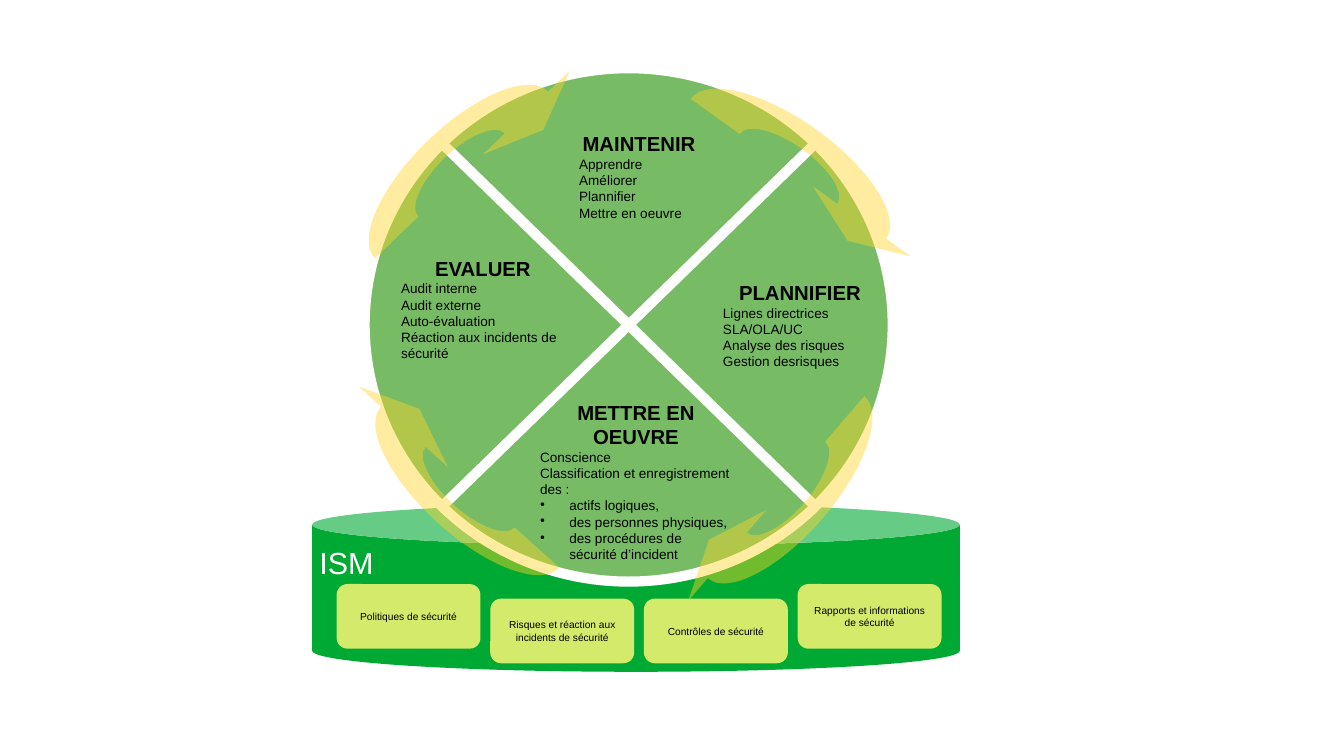
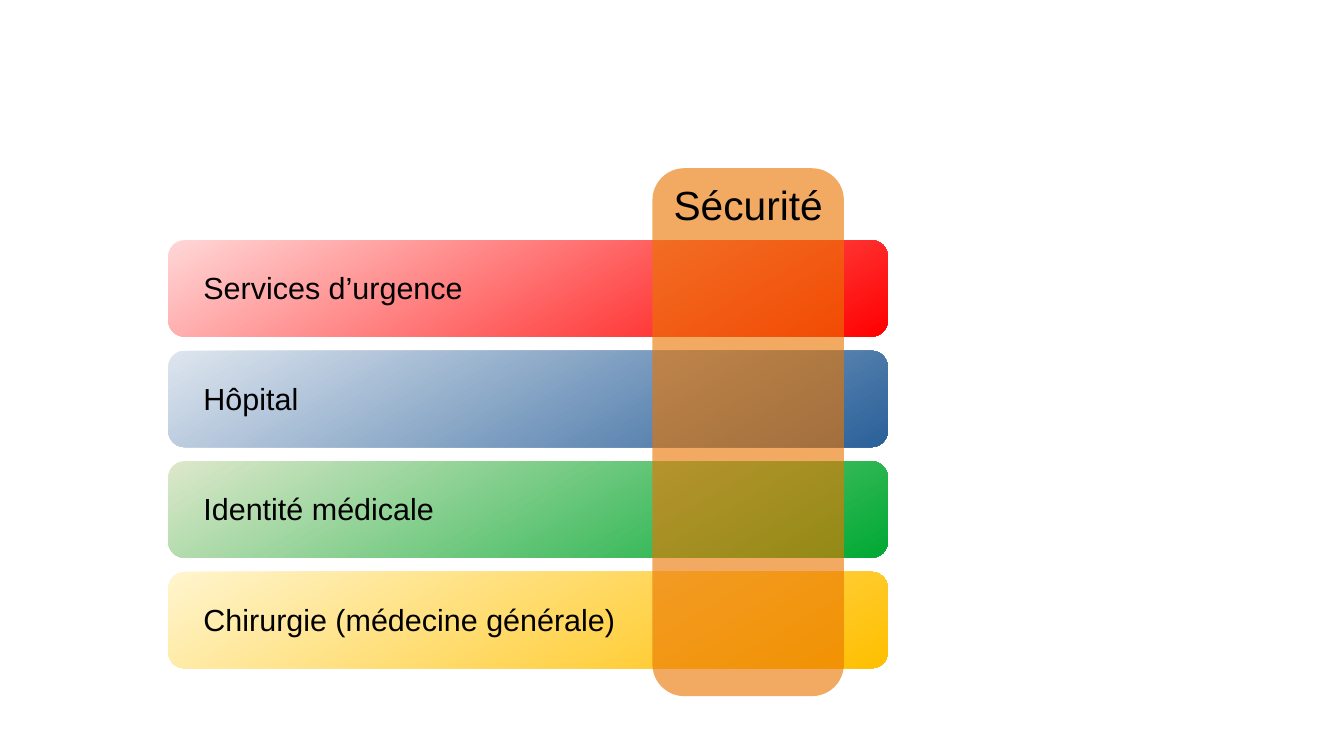
from dataclasses import dataclass

from lxml import etree
from pptx import Presentation
from pptx.dml.color import RGBColor
from pptx.enum.shapes import MSO_SHAPE
from pptx.enum.text import MSO_ANCHOR, MSO_AUTO_SIZE, PP_ALIGN
from pptx.oxml.ns import qn
from pptx.util import Inches, Pt

CAN = MSO_SHAPE.CAN
ROUNDED = MSO_SHAPE.ROUNDED_RECTANGLE
CROSSED_CIRCLE = MSO_SHAPE.FLOWCHART_SUMMING_JUNCTION
LEFT, CENTER = PP_ALIGN.LEFT, PP_ALIGN.CENTER
TOP, MIDDLE = MSO_ANCHOR.TOP, MSO_ANCHOR.MIDDLE
GROW = MSO_AUTO_SIZE.SHAPE_TO_FIT_TEXT


@dataclass(frozen=True)
class Theme:
    font: str = "Arial"
    black: str = "000000"
    white: str = "FFFFFF"
    base: str = "00A933"
    wheel: str = "77BC65"
    arrow: str = "FFD428"
    arrow_opacity: int = 44
    pillar: str = "D4EA6B"
    column: str = "EA7500"
    column_opacity: int = 61
    tiny: int = 6
    body: int = 8
    heading: int = 12
    label: int = 18
    title: int = 24
    corner: float = 0.167
    bullet_indent: float = 0.24
    bullet_percent: int = 45


THEME = Theme()

PILLARS = [
    ("Politiques de sécurité", 0.66),
    ("Risques et réaction aux incidents de sécurité", 0.78),
    ("Contrôles de sécurité", 0.78),
    ("Rapports et informations de sécurité", 0.66),
]

# Box relative to the wheel, heading, lines, bulleted lines
PHASES = [
    ((1.66, 0.47, 1.18, 0.94), "MAINTENIR",
     ["Apprendre", "Améliorer", "Plannifier", "Mettre en oeuvre"], []),
    ((2.84, 1.69, 1.46, 0.97), "PLANNIFIER",
     ["Lignes directrices", "SLA/OLA/UC", "Analyse des risques", "Gestion desrisques"], []),
    ((1.34, 2.67, 1.77, 1.6), "METTRE EN OEUVRE",
     ["Conscience", "Classification et enregistrement des :"],
     ["actifs logiques,", "des personnes physiques,",
      "des procédures de sécurité d’incident"]),
    ((0.2, 1.49, 1.54, 1.04), "EVALUER",
     ["Audit interne", "Audit externe", "Auto-évaluation",
      "Réaction aux incidents de sécurité"], []),
]

# Left and top relative to the wheel, clockwise rotation in degrees
ARROWS = [
    (-0.19, 0.48, 316.1),
    (2.49, 0.43, 35.6),
    (2.47, 3.04, 130.7),
    (-0.12, 3.04, 222.1),
]
ARROW_SIZE = (1.97, 0.79)

# Text, start colour, end colour, label width, label height
SERVICES = [
    ("Services d’urgence", "FFD7D7", "FF0000", 2.36, 0.38),
    ("Hôpital", "DEE6EF", "2A6099", 2.36, 0.38),
    ("Identité médicale", "DDE8CB", "00A933", 2.36, 0.38),
    ("Chirurgie (médecine générale)", "FFF5CE", "FFBF00", 4.53, 0.94),
]


def inches(box):
    return [Inches(value) for value in box]


def inside(box, offset):
    """Turn an offset box into a box on the slide."""
    return box[0] + offset[0], box[1] + offset[1], *offset[2:]


def paint(shape, color, opacity=100):
    """Give a solid fill, no outline and no shadow."""
    shape.shadow.inherit = False
    shape.line.fill.background()
    shape.fill.solid()
    shape.fill.fore_color.rgb = RGBColor.from_string(color)
    if opacity < 100:
        solid_color = shape.fill._xPr.find(qn("a:solidFill"))[0]
        etree.SubElement(solid_color, qn("a:alpha"), val=str(opacity * 1000))


def add_shape(shapes, kind, box, color, opacity=100, corner=None):
    shape = shapes.add_shape(kind, *inches(box))
    paint(shape, color, opacity)
    if corner is not None:
        shape.adjustments[0] = corner
    return shape


def add_bullet(paragraph):
    properties = paragraph._p.get_or_add_pPr()
    indent = Inches(THEME.bullet_indent)
    properties.set("marL", str(indent))
    properties.set("indent", str(-indent))
    color = etree.SubElement(properties, qn("a:buClr"))
    etree.SubElement(color, qn("a:srgbClr"), val=THEME.black)
    etree.SubElement(properties, qn("a:buSzPct"), val=str(THEME.bullet_percent * 1000))
    etree.SubElement(properties, qn("a:buChar"), char="●")


def write(frame, lines, anchor=TOP):
    """Fill a text frame with lines of (text, format values)."""
    frame.word_wrap = True
    frame.vertical_anchor = anchor
    for index, (text, values) in enumerate(lines):
        paragraph = frame.paragraphs[0] if index == 0 else frame.add_paragraph()
        paragraph.alignment = values.get("align", LEFT)
        if values.get("bullet"):
            add_bullet(paragraph)
        run = paragraph.add_run()
        run.text = text
        run.font.color.rgb = RGBColor.from_string(values.get("color", THEME.black))
        font_values = {"name": THEME.font, "size": Pt(values["size"]),
                       "bold": values.get("bold", False)}
        for name, value in font_values.items():
            setattr(run.font, name, value)


def add_text(shapes, box, lines):
    frame = shapes.add_textbox(*inches(box)).text_frame
    write(frame, lines)
    frame.auto_size = GROW


def half_ellipse(center_x, center_y, radius_x, radius_y):
    """Return the Bezier points of an upper half ellipse, from left to right."""
    pull = 0.55
    unit_points = [(-1, 0), (-1, -pull), (-pull, -1), (0, -1), (pull, -1), (1, -pull), (1, 0)]
    return [(center_x + x * radius_x, center_y + y * radius_y) for x, y in unit_points]


def bend(line_segments):
    """Turn three successive straight segments into one Bezier curve."""
    curve = etree.Element(qn("a:cubicBezTo"))
    line_segments[0].addprevious(curve)
    for segment in line_segments:
        curve.append(segment[0])
        segment.getparent().remove(segment)


def add_arrow(shapes, left, top, rotation):
    """Add half an elliptical ring with a head that overhangs its frame."""
    width, height = ARROW_SIZE
    center_x, center_y = width / 2, height / 2
    inner = half_ellipse(center_x, center_y, width / 4, height / 4)[::-1]
    outer = half_ellipse(center_x, center_y, center_x, center_y)
    head = [(center_x + width * 5 / 8, center_y), (center_x + width * 3 / 8, height * 3 / 4),
            (center_x + width / 8, center_y)]
    points = [inches((left + x, top + y)) for x, y in inner + outer + head]
    builder = shapes.build_freeform(*points[0])
    builder.add_line_segments(points[1:], close=True)
    arrow = builder.convert_to_shape()
    outline = next(arrow._element.iter(qn("a:path")))
    segments = outline.findall(qn("a:lnTo"))
    for first in (0, 3, 7, 10):
        bend(segments[first:first + 3])
    outline.set("w", str(Inches(width)))
    outline.set("h", str(Inches(height)))
    frame_values = {"left": Inches(left), "top": Inches(top), "width": Inches(width),
                    "height": Inches(height), "rotation": rotation}
    for name, value in frame_values.items():
        setattr(arrow, name, value)
    paint(arrow, THEME.arrow, THEME.arrow_opacity)


def draw_wheel(shapes, box):
    wheel = add_shape(shapes, CROSSED_CIRCLE, box, THEME.wheel)
    wheel.line.color.rgb = RGBColor.from_string(THEME.white)
    wheel.line.width = Pt(6)
    for x, y, rotation in ARROWS:
        add_arrow(shapes, *inside(box, (x, y)), rotation)
    for offset, heading, plain, bulleted in PHASES:
        lines = [(heading, {"size": THEME.heading, "bold": True, "align": CENTER})]
        lines += [(text, {"size": THEME.body}) for text in plain]
        lines += [(text, {"size": THEME.body, "bullet": True}) for text in bulleted]
        add_text(shapes, inside(box, offset), lines)


def draw_pillars(shapes, box):
    """Label the base and lay its pillars in a row."""
    width, gap = 1.18, 0.08
    add_text(shapes, inside(box, (-0.04, 0.28, 0.79, 0.38)),
             [("ISM", {"size": THEME.label, "color": THEME.white})])
    for index, (text, top) in enumerate(PILLARS):
        offset = (0.2 + index * (width + gap), top, width, 0.53)
        pillar = add_shape(shapes, ROUNDED, inside(box, offset), THEME.pillar,
                           corner=THEME.corner)
        write(pillar.text_frame, [(text, {"size": THEME.tiny, "align": CENTER})], MIDDLE)


def draw_services(shapes, box):
    left, top, width, height = box
    band_height = 0.79
    pitch = (height - band_height) / (len(SERVICES) - 1)
    for index, (_, start, end, _, _) in enumerate(SERVICES):
        band = add_shape(shapes, ROUNDED, (left, top + index * pitch, width, band_height),
                         end, corner=THEME.corner)
        band.fill.gradient()
        band.fill.gradient_angle = 300
        for stop, color in zip(band.fill.gradient_stops, (start, end)):
            stop.color.rgb = RGBColor.from_string(color)
    for index, (text, _, _, label_width, label_height) in enumerate(SERVICES):
        offset = (0.19, 0.19 + index * pitch, label_width, label_height)
        add_text(shapes, inside(box, offset), [(text, {"size": THEME.label})])


def draw_security_column(shapes, box):
    group = shapes.add_group_shape()
    add_shape(group.shapes, ROUNDED, box, THEME.column, THEME.column_opacity, THEME.corner)
    add_text(group.shapes, inside(box, (0, 0.05, box[2], 0.47)),
             [("Sécurité", {"size": THEME.title, "align": CENTER})])


def build_cycle_slide(slide):
    base_box = (2.56, 4.13, 5.31, 1.38)
    add_shape(slide.shapes, CAN, base_box, THEME.base, corner=0.25)
    draw_wheel(slide.shapes, (2.99, 0.56, 4.33, 4.21))
    draw_pillars(slide.shapes, base_box)


def build_services_slide(slide):
    draw_services(slide.shapes, (1.38, 1.97, 5.9, 3.51))
    draw_security_column(slide.shapes, (5.35, 1.38, 1.57, 4.33))


def main():
    presentation = Presentation()
    presentation.slide_width = Inches(11.02)
    presentation.slide_height = Inches(6.2)
    for build in (build_cycle_slide, build_services_slide):
        build(presentation.slides.add_slide(presentation.slide_layouts[6]))
    presentation.save("out.pptx")


if __name__ == "__main__":
    main()
